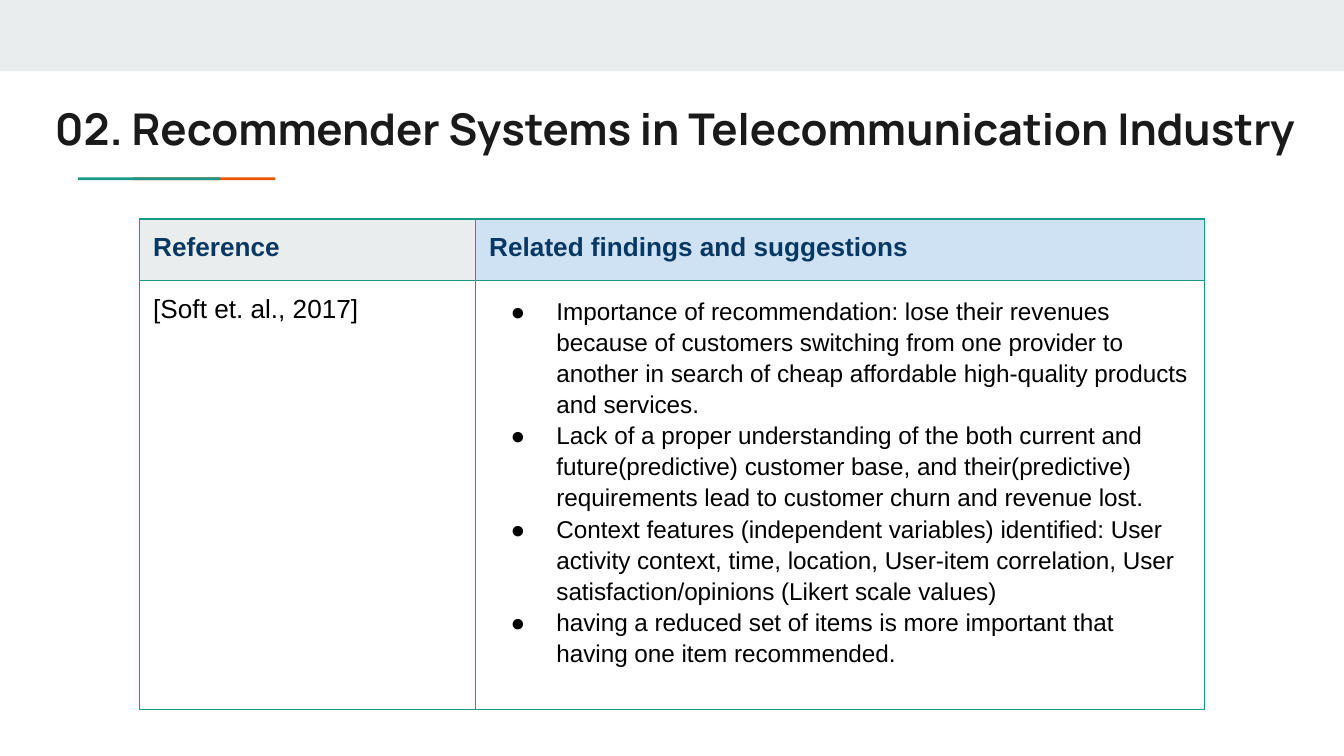
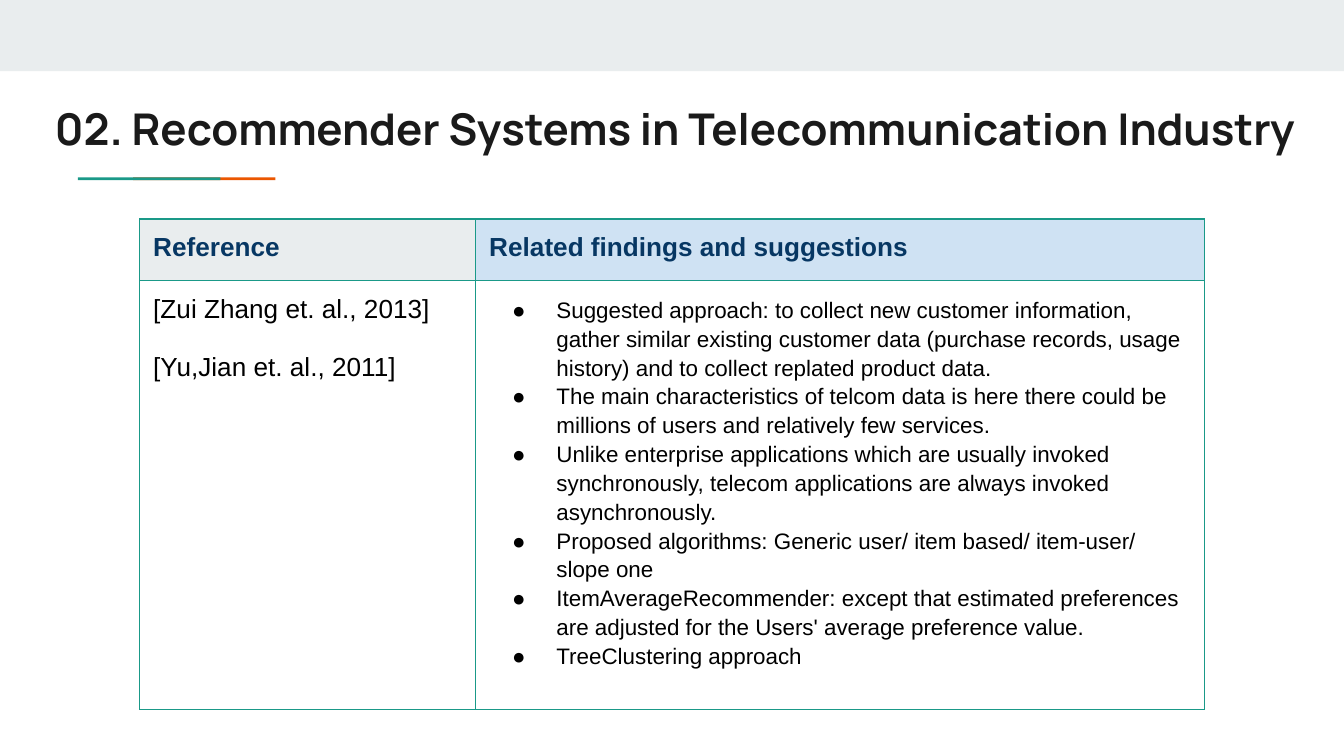
import pptx
import pptx.dml.color
import pptx.enum.shapes
import pptx.oxml.ns
import pptx.util
from lxml import etree

Inches = pptx.util.Inches
Pt = pptx.util.Pt

TITLE = "02. Recommender Systems in Telecommunication Industry"
HEADERS = [("Reference", "band"), ("Related findings and suggestions", "sky")]
SLIDES = [
    {
        "references": ["[Soft et. al., 2017]"],
        "size": 13,
        "hanging": 0.34,
        "findings": [
            "Importance of recommendation: lose their revenues because of customers switching from one "
            "provider to another in search of cheap affordable high-quality products and services.",
            "Lack of a proper understanding of the both current and future(predictive) customer base, "
            "and their(predictive) requirements lead to customer churn and revenue lost.",
            "Context features (independent variables) identified: User activity context, time, location, "
            "User-item correlation, User satisfaction/opinions (Likert scale values)",
            "having a reduced set of items is more important that having one item recommended.",
        ],
    },
    {
        "references": ["[Zui Zhang et. al., 2013]", "[Yu,Jian et. al., 2011]"],
        "size": 12,
        "hanging": 0.33,
        "findings": [
            "Suggested approach: to collect new customer information, gather similar existing customer "
            "data (purchase records, usage history) and to collect replated product data.",
            "The main characteristics of telcom data is here there could be millions of users and "
            "relatively few services.",
            "Unlike enterprise applications which are usually invoked synchronously, telecom applications "
            "are always invoked asynchronously.",
            "Proposed algorithms: Generic user/ item based/ item-user/ slope one",
            "ItemAverageRecommender: except that estimated preferences are adjusted for the Users' "
            "average preference value.",
            "TreeClustering approach",
        ],
    },
]

COLORS = {
    "band": "E9EDEE", "sky": "CFE2F3", "teal": "1A9988", "orange": "EB5600",
    "title": "1A1A1A", "navy": "073763", "black": "000000",
}
TITLE_FONT = {"name": "Manrope", "size": Pt(23.4), "bold": True}
HEADER_FONT = {"name": "Arial", "size": Pt(14), "bold": True}
BODY_FONT = {"name": "Arial", "size": Pt(14), "bold": False}
MARGINS = {f"margin_{side}": Inches(0.1) for side in ("left", "right", "top", "bottom")}
SLIDE_WIDTH = 10
SLIDE_HEIGHT = SLIDE_WIDTH * 9 / 16
COLUMN_WIDTHS = [2.5, 5.42]
ROW_HEIGHTS = [0.46, 1.65]  # the second row grows with its text
ACCENT_WIDTH = 1.06
REFERENCE_GAP = Pt(15.5)


def color(name):
    return pptx.dml.color.RGBColor.from_string(COLORS[name])


def apply(target, values):
    for name, value in values.items():
        setattr(target, name, value)


def add_element(parent, tag, **attributes):
    return etree.SubElement(parent, pptx.oxml.ns.qn(tag), attributes)


def write(text_frame, lines, font, color_name, **paragraph_format):
    """Fill the frame with one paragraph per line and return the paragraphs."""
    paragraphs = []
    for index, line in enumerate(lines):
        paragraph = text_frame.add_paragraph() if index else text_frame.paragraphs[0]
        apply(paragraph, paragraph_format)
        run = paragraph.add_run()
        run.text = line
        apply(run.font, font)
        run.font.color.rgb = color(color_name)
        paragraphs.append(paragraph)
    return paragraphs


def add_bar(slide, left, top, width, height, color_name):
    shape = slide.shapes.add_shape(
        pptx.enum.shapes.MSO_SHAPE.RECTANGLE, *map(Inches, (left, top, width, height)))
    shape.shadow.inherit = False
    shape.fill.solid()
    shape.fill.fore_color.rgb = color(color_name)
    shape.line.fill.background()


def add_frame(slide):
    """Draw the top band, the title and its two-colour underline."""
    add_bar(slide, 0, 0, SLIDE_WIDTH, 0.53, "band")
    for left, color_name in ((0.99, "orange"), (0.58, "teal")):
        add_bar(slide, left, 1.32, ACCENT_WIDTH, 0.02, color_name)
    text_frame = slide.shapes.add_textbox(*map(Inches, (0.31, 0.66, 9.48, 0.59))).text_frame
    text_frame.word_wrap = True
    apply(text_frame, MARGINS)
    write(text_frame, [TITLE], TITLE_FONT, "title")


def add_bullet(paragraph, hanging):
    properties = paragraph._p.get_or_add_pPr()
    properties.set("marL", str(Inches(0.5)))
    properties.set("indent", str(-Inches(hanging)))
    bullet_color = add_element(properties, "a:buClr")
    add_element(bullet_color, "a:srgbClr", val=COLORS["black"])
    add_element(properties, "a:buFont", typeface="Arial")
    add_element(properties, "a:buChar", char="●")


def style_cell(cell, fill_name=None):
    apply(cell, MARGINS)
    properties = cell._tc.get_or_add_tcPr()
    for side in "LRTB":
        border = add_element(properties, f"a:ln{side}", w=str(Pt(0.75)))
        border_fill = add_element(border, "a:solidFill")
        add_element(border_fill, "a:srgbClr", val=COLORS["teal"])
        add_element(border, "a:prstDash", val="solid")
    if fill_name:
        cell.fill.solid()
        cell.fill.fore_color.rgb = color(fill_name)
    else:
        cell.fill.background()


def add_findings_table(slide, content):
    table = slide.shapes.add_table(
        len(ROW_HEIGHTS), len(COLUMN_WIDTHS), Inches(1.04), Inches(1.63),
        Inches(sum(COLUMN_WIDTHS)), Inches(sum(ROW_HEIGHTS))).table
    apply(table, {"first_row": False, "horz_banding": False})
    for column, width in zip(table.columns, COLUMN_WIDTHS):
        column.width = Inches(width)
    for row, height in zip(table.rows, ROW_HEIGHTS):
        row.height = Inches(height)

    for index, (header, fill_name) in enumerate(HEADERS):
        style_cell(table.cell(0, index), fill_name)
        write(table.cell(0, index).text_frame, [header], HEADER_FONT, "navy")
        style_cell(table.cell(1, index))

    references = write(table.cell(1, 0).text_frame, content["references"], BODY_FONT, "black")
    for paragraph in references[1:]:
        paragraph.space_before = REFERENCE_GAP

    finding_font = {**BODY_FONT, "size": Pt(content["size"])}
    findings = write(table.cell(1, 1).text_frame, content["findings"], finding_font, "black",
                     line_spacing=1.15)
    for paragraph in findings:
        add_bullet(paragraph, content["hanging"])


def main():
    presentation = pptx.Presentation()
    apply(presentation, {"slide_width": Inches(SLIDE_WIDTH), "slide_height": Inches(SLIDE_HEIGHT)})
    for content in SLIDES:
        slide = presentation.slides.add_slide(presentation.slide_layouts[6])
        add_frame(slide)
        add_findings_table(slide, content)
    presentation.save("out.pptx")


if __name__ == "__main__":
    main()
